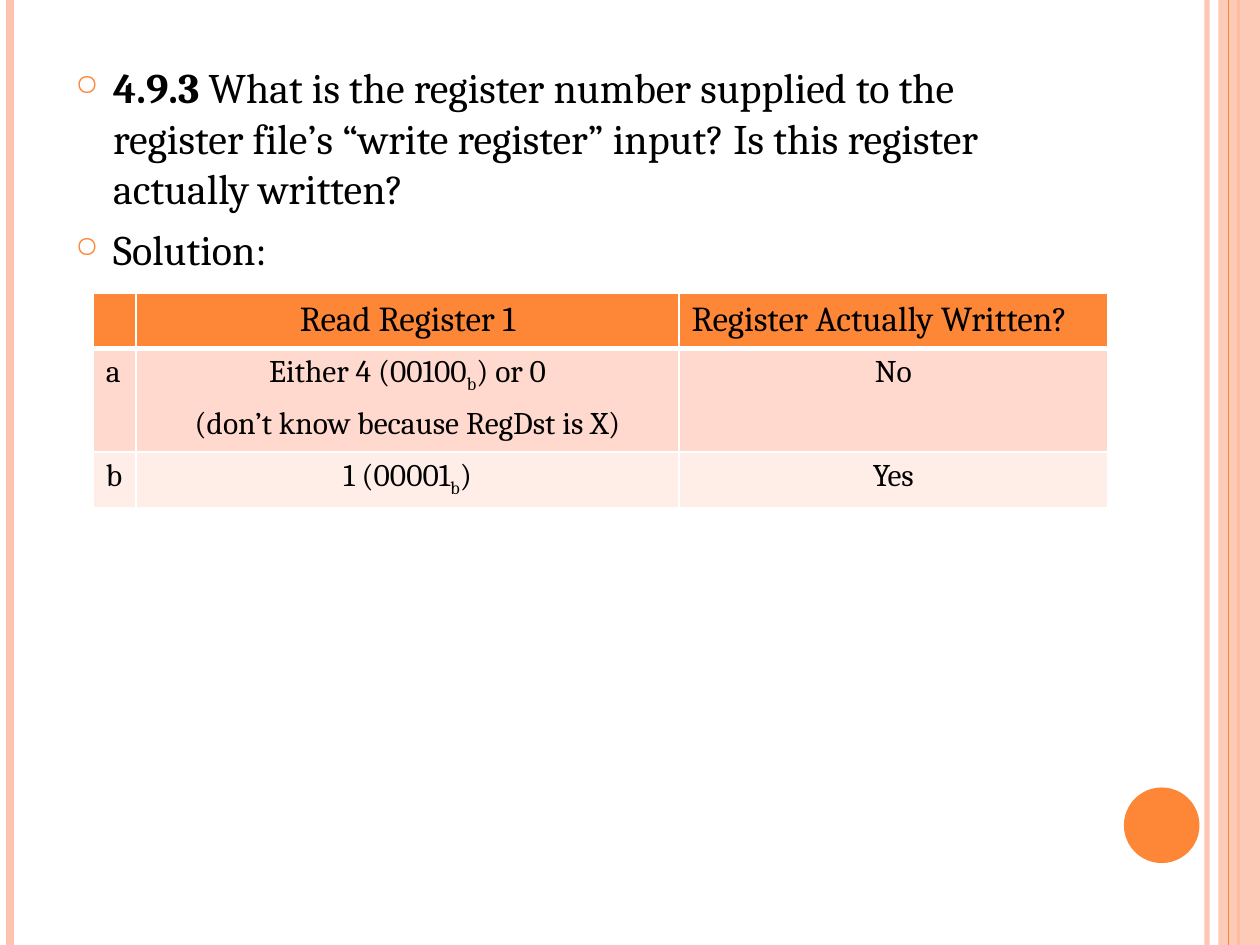
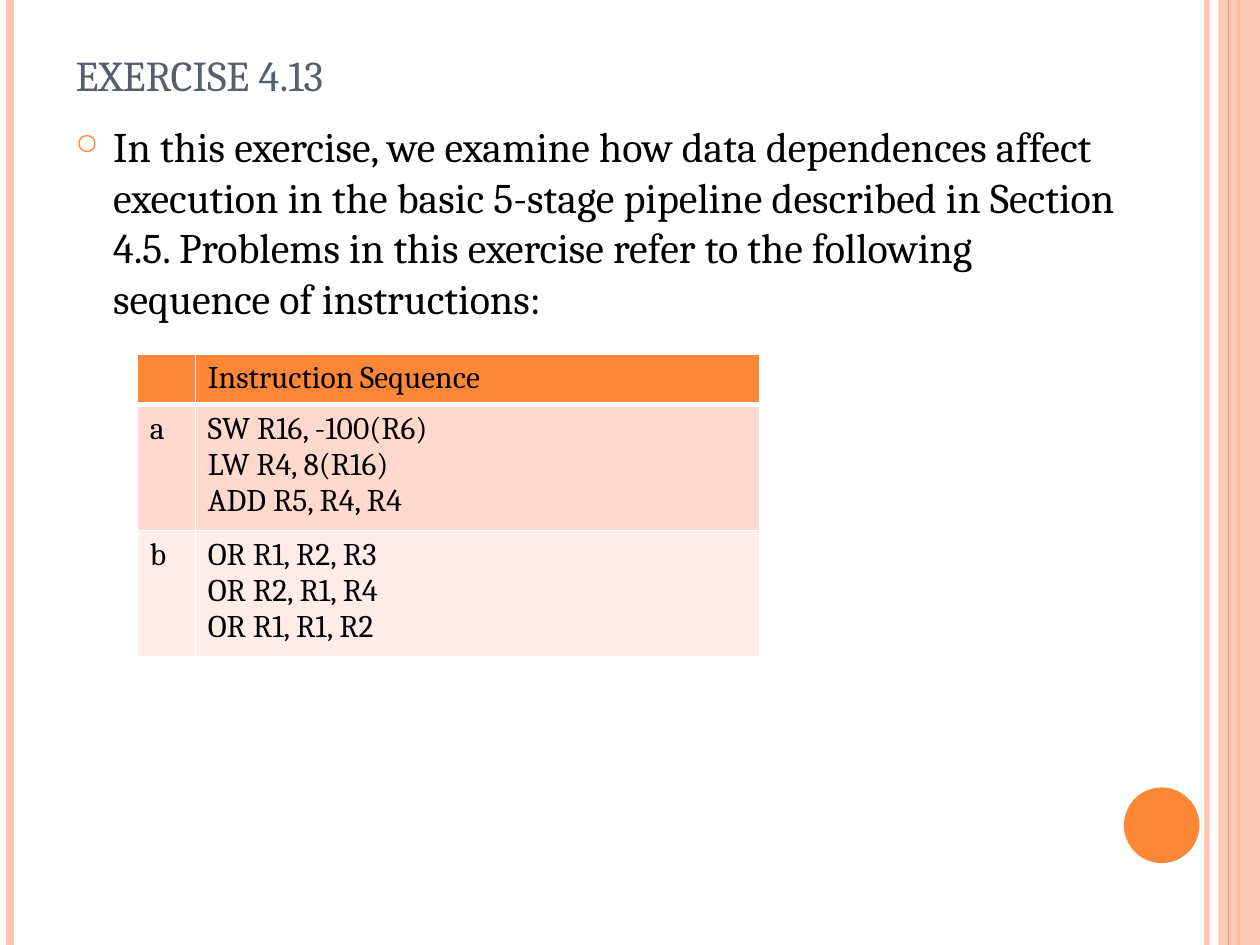
from pptx import Presentation
from pptx.dml.color import RGBColor
from pptx.enum.shapes import MSO_CONNECTOR, MSO_SHAPE
from pptx.enum.text import MSO_ANCHOR, PP_ALIGN
from pptx.oxml import parse_xml
from pptx.oxml.ns import nsdecls
from pptx.util import Inches, Pt
from lxml.etree import SubElement
from pptx.oxml.ns import qn

HUES = {
    "orange": "FE8637", "peach": "FEC3AE", "pink": "FFD9CE", "pale": "FFEDE8",
    "slate": "575F6D", "black": "000000", "white": "FFFFFF",
}
FACE = "Cambria"
LEFT, MID = PP_ALIGN.LEFT, PP_ALIGN.CENTER


def hue(name):
    return RGBColor.from_string(HUES[name])


def style(par, size, tint="black"):
    par.font.name = FACE
    par.font.size = Pt(size)
    par.font.color.rgb = hue(tint)


deck = Presentation()
deck.slide_width, deck.slide_height = Inches(10), Inches(7.5)

pages = [
    {
        "layout": 6,
        "box": (0.5, 0.44, 8.17, 1.81),
        "body": [
            ("4.9.3 ", "What is the register number supplied to the register file’s "
             "“write register” input? Is this register actually written?"),
            ("", "Solution:"),
        ],
        "spot": (0.74, 2.33),
        "cols": [0.34, 4.31, 3.4],
        "rows": [0.41, 0.8, 0.42],
        "head": 20,
        "gap": 6,
        "align": [[LEFT, MID, LEFT], [LEFT, MID, MID], [LEFT, MID, MID]],
        "cells": [
            ["", "Read Register 1", "Register Actually Written?"],
            ["a", "Either 4 (00100_b_) or 0\n(don’t know because RegDst is X)", "No"],
            ["b", "1 (00001_b_)", "Yes"],
        ],
    },
    {
        "layout": 5,
        "title": "EXERCISE 4.13",
        "box": (0.5, 0.91, 8.6, 1.65),
        "body": [
            ("", "In this exercise, we examine how data dependences affect execution in "
             "the basic 5-stage pipeline described in Section 4.5. Problems in this "
             "exercise refer to the following sequence of instructions:"),
        ],
        "spot": (1.09, 2.81),
        "cols": [0.46, 4.48],
        "rows": [0.38, 0.96, 0.97],
        "head": 18,
        "gap": 0,
        "align": [[LEFT, LEFT]] * 3,
        "cells": [
            ["", "Instruction Sequence"],
            ["a", "SW R16, -100(R6)\nLW R4, 8(R16)\nADD R5, R4, R4"],
            ["b", "OR R1, R2, R3\nOR R2, R1, R4\nOR R1, R1, R2"],
        ],
    },
]

frame = [
    ("line", 9.58, 3, "peach", 93), ("line", 0.08, 4.5, "peach", 100),
    ("line", 9.83, 1.5, "orange", 100),
    (MSO_SHAPE.RECTANGLE, (9.67, 0, 0.33, 7.5), 0, "peach", 87),
    ("line", 9.75, 0.75, "orange", 100),
    (MSO_SHAPE.OVAL, (8.92, 6.25, 0.6, 0.6), 0, "orange", 100),
]

for page in pages:
    slide = deck.slides.add_slide(deck.slide_layouts[page["layout"]])
    slide.background.fill.solid()
    slide.background.fill.fore_color.rgb = hue("white")

    for kind, place, width, tint, solid in frame:
        if kind == "line":
            part = slide.shapes.add_connector(
                MSO_CONNECTOR.STRAIGHT, Inches(place), 0, Inches(place), Inches(7.5))
            part.line.width = Pt(width)
            paint = part.line.fill
        else:
            part = slide.shapes.add_shape(kind, *map(Inches, place))
            part.shadow.inherit = False
            part.line.fill.background()
            paint = part.fill
        paint.solid()
        paint.fore_color.rgb = hue(tint)
        if kind == "line":
            SubElement(part._element.spPr, qn("a:effectLst"))
        if solid < 100:
            for tone in part._element.spPr.iter(qn("a:srgbClr")):
                SubElement(tone, qn("a:alpha"), val=str(solid * 1000))

    if "title" in page:
        title = slide.shapes.title
        title.left, title.top = Inches(0.5), Inches(0.3)
        title.width, title.height = Inches(8.17), Inches(0.54)
        title.text_frame.text = page["title"]
        title.text_frame.vertical_anchor = MSO_ANCHOR.BOTTOM
        par = title.text_frame.paragraphs[0]
        par.alignment = LEFT
        style(par, 24.3, "slate")

    text = slide.shapes.add_textbox(*map(Inches, page["box"])).text_frame
    text.word_wrap = True
    for i, (lead, words) in enumerate(page["body"]):
        par = text.add_paragraph() if i else text.paragraphs[0]
        props = par._p.get_or_add_pPr()
        props.set("marL", str(Inches(0.3)))
        props.set("indent", str(-Inches(0.3)))
        tone = SubElement(props, qn("a:buClr"))
        SubElement(tone, qn("a:srgbClr"), val=HUES["orange"])
        SubElement(props, qn("a:buSzPct"), val="70000")
        SubElement(props, qn("a:buChar"), char="○")
        par.space_before = Pt(6 if i else 0)
        style(par, 24)
        if lead:
            run = par.add_run()
            run.text = lead
            run.font.bold = True
        par.add_run().text = words

    cols, rows = page["cols"], page["rows"]
    table = slide.shapes.add_table(
        len(rows), len(cols), *map(Inches, page["spot"]),
        Inches(sum(cols)), Inches(sum(rows))).table
    table.first_row = table.horz_banding = False
    for col, width in zip(table.columns, cols):
        col.width = Inches(width)
    for r, high in enumerate(rows):
        table.rows[r].height = Inches(high)
        for c, words in enumerate(page["cells"][r]):
            cell = table.cell(r, c)
            props = cell._tc.get_or_add_tcPr()
            for side in "LRTB":
                thick = 3 if (r, side) in [(0, "B"), (1, "T")] else 1
                props.append(parse_xml(
                    f'<a:ln{side} {nsdecls("a")} w="{Pt(thick)}"><a:solidFill>'
                    f'<a:srgbClr val="{HUES["white"]}"/></a:solidFill></a:ln{side}>'))
            cell.fill.solid()
            cell.fill.fore_color.rgb = hue(["orange", "pink", "pale"][r])
            for i, row in enumerate(words.split("\n")):
                par = cell.text_frame.add_paragraph() if i else cell.text_frame.paragraphs[0]
                par.alignment = page["align"][r][c]
                par.space_before = Pt(page["gap"] if i else 0)
                style(par, 18 if r else page["head"])
                for j, bit in enumerate(row.split("_")):
                    run = par.add_run()
                    run.text = bit
                    if j % 2:
                        run._r.get_or_add_rPr().set("baseline", "-25000")

deck.save("out.pptx")
